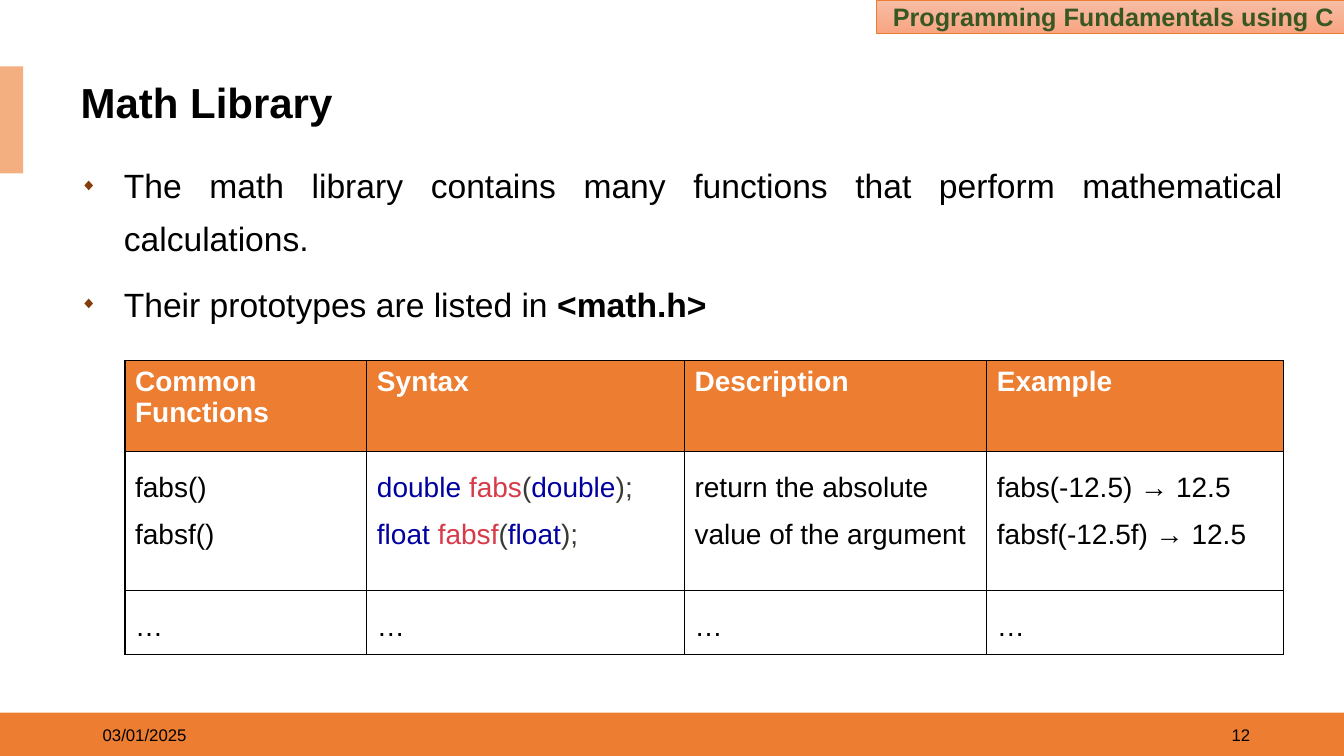
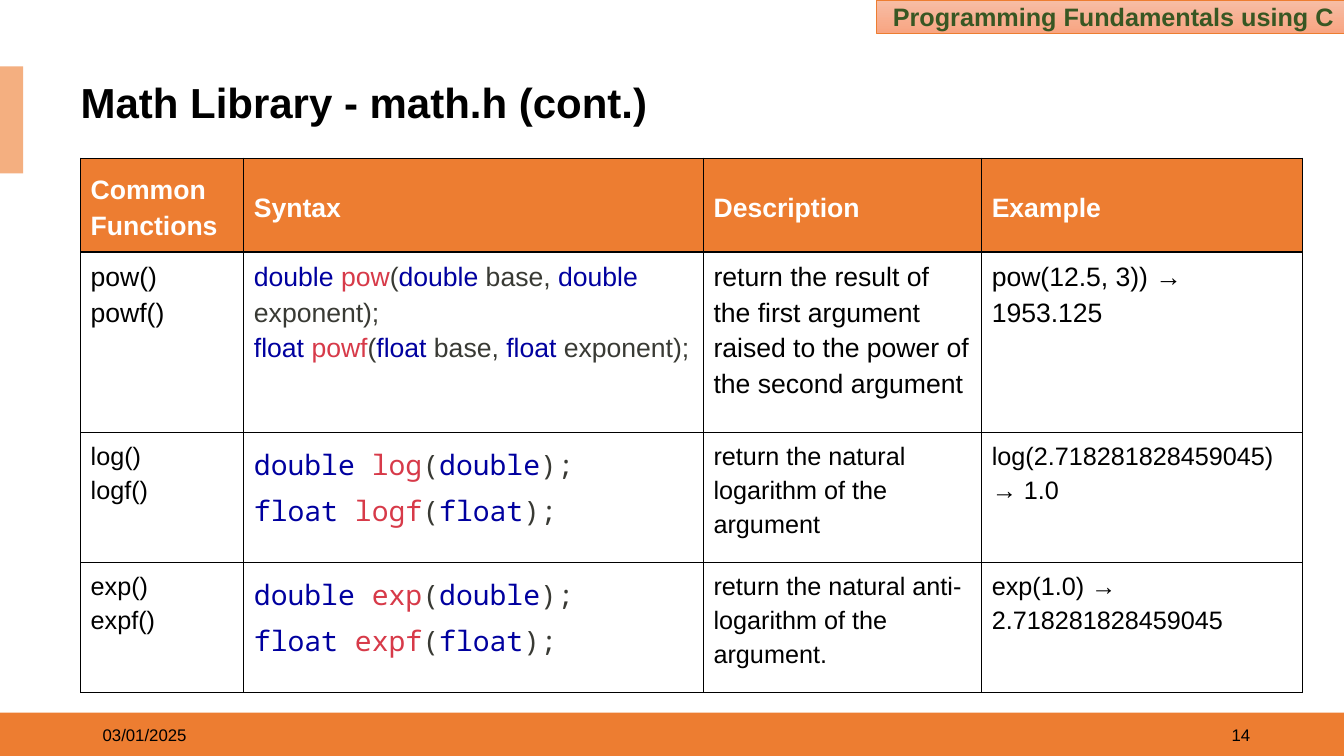
from itertools import accumulate, groupby

from lxml.etree import SubElement
from pptx import Presentation
from pptx.dml.color import RGBColor
from pptx.enum.shapes import MSO_SHAPE as Preset
from pptx.enum.text import MSO_ANCHOR as Anchor, MSO_AUTO_SIZE as AutoSize, PP_ALIGN as Align
from pptx.oxml import parse_xml
from pptx.oxml.ns import nsdecls, qn
from pptx.util import Inches, Pt

WIDTH, HEIGHT = Inches(13.33), Inches(7.5)
COLUMN, ROW = WIDTH / 100, HEIGHT / 100
ORANGE, PEACH, WHITE, BLACK = "ED7D31", "F4AF80", "FFFFFF", "000000"
GREEN, BROWN = "385723", "843C0B"
KEYWORD, FUNCTION, PLAIN = "00009F", "D73A49", "393A34"
BADGE_STOPS = ("F7BDA5", "F8A582")
SANS, MONO = "Arial", "Noto Sans Mono"
DATE = "03/01/2025"

HEADINGS = ["Common Functions", "Syntax", "Description", "Example"]
ABSOLUTE_ROWS = [
    HEADINGS,
    ["fabs()\nfabsf()", "double fabs(double);\nfloat fabsf(float);",
     "return the absolute value of the argument",
     "fabs(-12.5) → 12.5\nfabsf(-12.5f) → 12.5"],
    ["…"] * 4,
]
POWER_ROWS = [
    HEADINGS,
    ["pow()\npowf()",
     "double pow(double base, double exponent);\nfloat powf(float base, float exponent);",
     "return the result of the first argument raised to the power of the second argument",
     "pow(12.5, 3)) → 1953.125"],
    ["log()\nlogf()", "double log(double);\nfloat logf(float);",
     "return the natural logarithm of the argument", "log(2.718281828459045) → 1.0"],
    ["exp()\nexpf()", "double exp(double);\nfloat expf(float);",
     "return the natural anti-logarithm of the argument.", "exp(1.0) → 2.718281828459045"],
]


def color(value):
    """Turn a hex string into a colour."""
    return RGBColor.from_string(value)


def place(left, top, width, height):
    """Turn grid columns and rows into lengths."""
    return [round(n * unit) for n, unit in
            ((left, COLUMN), (top, ROW), (width, COLUMN), (height, ROW))]


def set_format(target, values):
    """Set each attribute named in a dict."""
    for name, value in values.items():
        setattr(target, name, value)


def paint(shape, value):
    """Fill a shape or cell with one colour."""
    shape.fill.solid()
    shape.fill.fore_color.rgb = color(value)


def write(paragraph, runs, layout=None, **base):
    """Write (text, format) runs over a base font format."""
    set_format(paragraph, layout or {})
    for text, changes in runs:
        run = paragraph.add_run()
        run.text = text
        font = {"name": SANS, "size": 18, "bold": False, "color": BLACK, **base, **changes}
        run.font.color.rgb = color(font.pop("color"))
        font["size"] = Pt(font["size"])
        set_format(run.font, font)


def add_box(slide, area, fill=None):
    """Add a plain rectangle without line or shadow."""
    shape = slide.shapes.add_shape(Preset.RECTANGLE, *place(*area))
    shape.shadow.inherit = False
    shape.line.fill.background()
    if fill:
        paint(shape, fill)
    return shape


def add_text(slide, area, anchor=Anchor.TOP):
    """Add a wrapping text box and return its frame."""
    frame = slide.shapes.add_textbox(*place(*area)).text_frame
    set_format(frame, {"word_wrap": True, "vertical_anchor": anchor})
    return frame


def add_furniture(slide, layout):
    """Draw the bands and course badge and move them to the layout."""
    footer = add_box(slide, (0, 94.27, 100, 5.73), ORANGE)
    accent = add_box(slide, (0, 8.8, 1.73, 14.15), PEACH)
    badge = add_box(slide, (65.19, 0, 34.81, 4.4))
    badge.fill.gradient()
    badge.fill.gradient_angle = 270
    for stop, value in zip(badge.fill.gradient_stops, BADGE_STOPS):
        stop.color.rgb = color(value)
    badge.line.color.rgb = color(ORANGE)
    badge.line.width = Pt(0.5)
    badge.text_frame.vertical_anchor = Anchor.MIDDLE
    write(badge.text_frame.paragraphs[0], [("Programming Fundamentals using C", {})],
          {"alignment": Align.RIGHT}, bold=True, color=GREEN)
    for shape in (footer, accent, badge):
        layout.shapes.element.append(shape.element)


def add_slide(presentation, layout, title, number):
    """Add a slide with its title, date and number."""
    slide = presentation.slides.add_slide(layout)
    shape = slide.shapes.title
    area = place(5.25, 10.53, 90.92, 6.8)
    set_format(shape, dict(zip(("left", "top", "width", "height"), area)))
    paint(shape, WHITE)
    set_format(shape.text_frame, {"vertical_anchor": Anchor.MIDDLE, "auto_size": AutoSize.NONE})
    write(shape.text_frame.paragraphs[0], [(title, {})],
          {"alignment": Align.LEFT, "line_spacing": 0.9}, size=30, bold=True)
    for left, text, alignment in ((71.27, number, Align.RIGHT), (6.9, DATE, Align.LEFT)):
        frame = add_text(slide, (left, 94.53, 22.5, 5.33), Anchor.MIDDLE)
        write(frame.paragraphs[0], [(text, {})], {"alignment": alignment}, size=12)
    return slide


def add_bullet(paragraph):
    """Give a paragraph a hanging diamond bullet."""
    properties = paragraph._p.get_or_add_pPr()
    properties.set("marL", str(Inches(0.43)))
    properties.set("indent", str(-Inches(0.43)))
    tint = SubElement(properties, qn("a:buClr"))
    SubElement(tint, qn("a:srgbClr"), val=BROWN)
    SubElement(properties, qn("a:buSzPct"), val="50000")
    SubElement(properties, qn("a:buFont"), typeface=SANS)
    SubElement(properties, qn("a:buChar"), char="◆")


def add_bullets(slide, area, items):
    """Add a justified bullet list."""
    frame = add_text(slide, area)
    for index, runs in enumerate(items):
        paragraph = frame.add_paragraph() if index else frame.paragraphs[0]
        add_bullet(paragraph)
        write(paragraph, runs, {"alignment": Align.JUSTIFY, "line_spacing": 1.3,
                                "space_before": Pt(10 if index else 0)}, size=24)


def highlight(code):
    """Split a C prototype into coloured runs."""
    tokens = ["".join(group) for _, group in groupby(code, str.isalnum)]
    runs = []
    for token, following in zip(tokens, tokens[1:] + [""]):
        tint = PLAIN
        if token in ("double", "float"):
            tint = KEYWORD
        elif following.startswith("("):
            tint = FUNCTION
        runs.append((token, {"color": tint}))
    return runs


def add_borders(cell):
    """Draw a thin black line on each side of a cell."""
    properties = cell._tc.get_or_add_tcPr()
    for index, side in enumerate("LRTB"):
        properties.insert(index, parse_xml(
            f'<a:ln{side} {nsdecls("a")} w="12700"><a:solidFill>'
            f'<a:srgbClr val="{BLACK}"/></a:solidFill></a:ln{side}>'))


def fill_cell(cell, text, spacing, is_code, **font):
    """Write the lines of one cell."""
    for index, line in enumerate(text.split("\n")):
        paragraph = cell.text_frame.add_paragraph() if index else cell.text_frame.paragraphs[0]
        runs = highlight(line) if is_code else [(line, {})]
        write(paragraph, runs, {"line_spacing": spacing}, **font)


def add_function_table(slide, corner, columns, heights, rows, fonts, code_fonts,
                       spacing, heading_spacing, heading_anchor):
    """Add a table of library functions with a font per row."""
    area = place(*corner, sum(columns), sum(heights))
    table = slide.shapes.add_table(len(rows), len(columns), *area).table
    table.horz_banding = False
    for line, share, unit in [*zip(table.columns, columns, [COLUMN] * len(columns))]:
        line.width = round(share * unit)
    for line, share in zip(table.rows, heights):
        line.height = round(share * ROW)
    for row, texts in enumerate(rows):
        for column, text in enumerate(texts):
            cell = table.cell(row, column)
            paint(cell, WHITE if row else ORANGE)
            add_borders(cell)
            if row:
                is_code = column == 1 and "(" in text
                font = code_fonts[row] if is_code else fonts[row]
                fill_cell(cell, text, spacing, is_code, **font)
            else:
                cell.vertical_anchor = heading_anchor
                fill_cell(cell, text, heading_spacing, False, bold=True, color=WHITE, **fonts[0])


def main():
    """Build and save the presentation."""
    presentation = Presentation()
    set_format(presentation, {"slide_width": WIDTH, "slide_height": HEIGHT})
    layout = presentation.slide_layouts[5]

    slide = add_slide(presentation, layout, "Math Library", "12")
    add_furniture(slide, layout)
    add_bullets(slide, (5.25, 19.6, 90.92, 26), [
        [("The math library contains many functions that perform mathematical calculations.", {})],
        [("Their prototypes are listed in ", {}), ("<math.h>", {"bold": True})],
    ])
    normal = [{"size": 20}] * 3
    add_function_table(slide, (9.3, 47.73), (18, 23.63, 22.5, 22.06), (12, 18.4, 8.4),
                       ABSOLUTE_ROWS, normal, normal, 1.5, 1.0, Anchor.TOP)

    slide = add_slide(presentation, layout, "Math Library - math.h (cont.)", "14")
    large, small, mono = {"size": 19}, {"size": 18}, {"size": 20, "name": MONO}
    add_function_table(slide, (6, 20.93), (12.15, 34.2, 20.7, 23.85), (12.4, 23.87, 17.2, 17.2),
                       POWER_ROWS, [large, large, small, small], [large, large, mono, mono],
                       1.2, 1.2, Anchor.MIDDLE)
    presentation.save("out.pptx")


if __name__ == "__main__":
    main()
